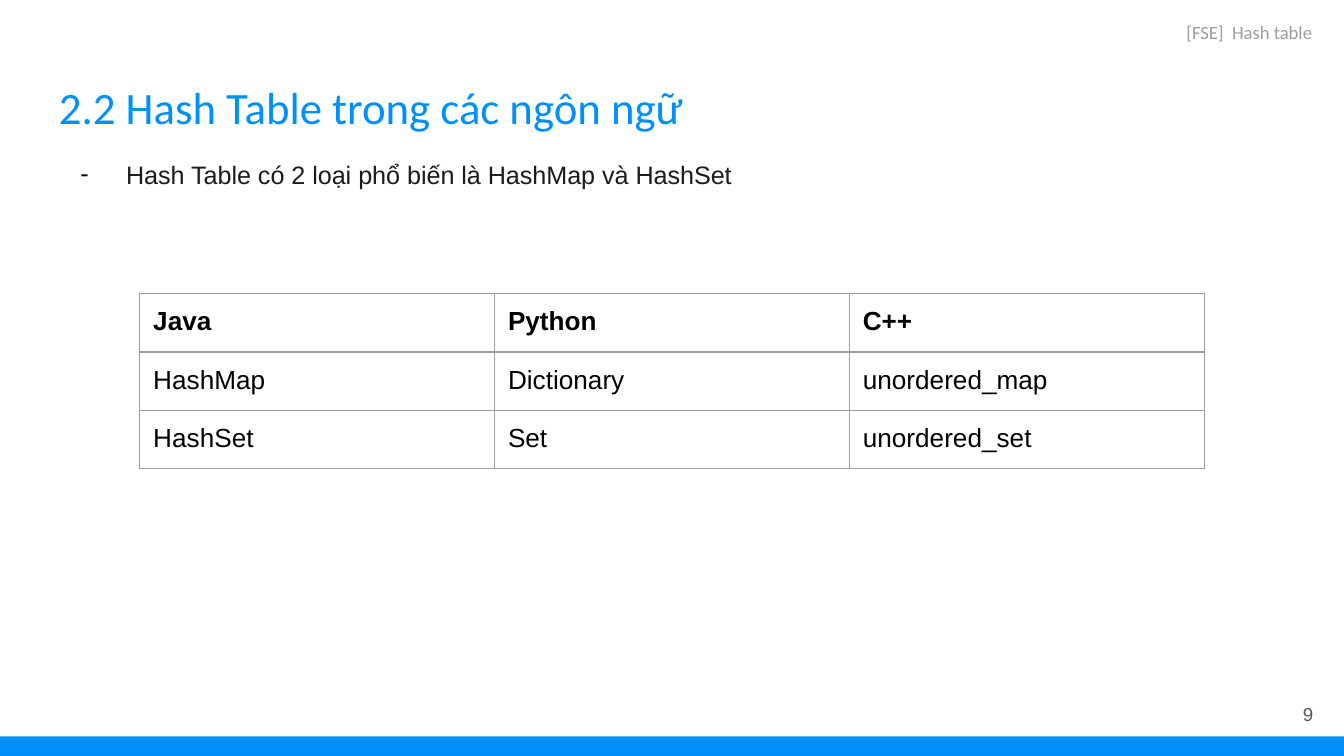
import lxml.etree
import pptx
import pptx.dml.color
import pptx.enum.shapes
import pptx.enum.text
import pptx.oxml
import pptx.oxml.ns
import pptx.util

RGBColor = pptx.dml.color.RGBColor
ALIGN = pptx.enum.text.PP_ALIGN
ANCHOR = pptx.enum.text.MSO_ANCHOR

BLUE = RGBColor(0x00, 0x90, 0xF8)
BLACK = RGBColor(0x00, 0x00, 0x00)
INK = RGBColor(0x1B, 0x1B, 0x1B)
DARK_GRAY = RGBColor(0x59, 0x59, 0x59)
GRAY = RGBColor(0x9E, 0x9E, 0x9E)

EMU_PER_PX = 4572  # 200 px to the inch
WIDTH, HEIGHT = 2000, 1125
INSET = 20


def px(length):
    return pptx.util.Emu(length * EMU_PER_PX)


def add_child(parent, tag, **attributes):
    return lxml.etree.SubElement(parent, pptx.oxml.ns.qn(tag), **attributes)


class SlideBuilder:
    """Holds the style and the current slide."""

    body_font = "Arial"
    heading_font = "Calibri"
    border_color = GRAY
    border_width = pptx.util.Pt(0.75)

    def __init__(self, page):
        self.page = page

    def span(self, para, text, size, color, font=None, bold=False):
        span = para.add_run()
        span.text = text
        span.font.name = font or self.body_font
        span.font.size = pptx.util.Pt(size)
        span.font.bold = bold
        span.font.color.rgb = color

    def set_insets(self, target):
        target.margin_left = target.margin_right = px(INSET)
        target.margin_top = target.margin_bottom = px(INSET)

    def text(self, left, top, width, height, text, size, color, font=None,
             align=ALIGN.LEFT, anchor=ANCHOR.TOP):
        box = self.page.shapes.add_textbox(px(left), px(top), px(width), px(height))
        frame = box.text_frame
        frame.word_wrap = True
        frame.vertical_anchor = anchor
        self.set_insets(frame)
        para = frame.paragraphs[0]
        para.alignment = align
        self.span(para, text, size, color, font)
        return para

    def bullet(self, para, mark, color, indent, hanging):
        para.line_spacing = 1.15
        properties = para._p.get_or_add_pPr()
        properties.set("marL", str(px(indent)))
        properties.set("indent", str(-px(hanging)))
        fill = add_child(properties, "a:buClr")
        add_child(fill, "a:srgbClr", val=str(color))
        add_child(properties, "a:buFont", typeface=self.body_font)
        add_child(properties, "a:buChar", char=mark)

    def bar(self, left, top, width, height, color):
        bar = self.page.shapes.add_shape(
            pptx.enum.shapes.MSO_SHAPE.RECTANGLE,
            px(left), px(top), px(width), px(height))
        bar.shadow.inherit = False
        bar.fill.solid()
        bar.fill.fore_color.rgb = color
        bar.line.fill.background()

    def cell_borders(self, cell):
        properties = cell._tc.get_or_add_tcPr()
        for position, side in enumerate(("lnL", "lnR", "lnT", "lnB")):
            line = pptx.oxml.parse_xml(
                f'<a:{side} {pptx.oxml.ns.nsdecls("a")} w="{self.border_width}">'
                f'<a:solidFill><a:srgbClr val="{self.border_color}"/></a:solidFill>'
                f'</a:{side}>')
            properties.insert(position, line)

    def table(self, left, top, column_width, row_height, rows, size, color):
        columns = len(rows[0])
        table = self.page.shapes.add_table(
            len(rows), columns, px(left), px(top),
            px(column_width * columns), px(row_height * len(rows))).table
        table.horz_banding = False
        for column in table.columns:
            column.width = px(column_width)
        for r, texts in enumerate(rows):
            table.rows[r].height = px(row_height)
            for c, text in enumerate(texts):
                cell = table.cell(r, c)
                cell.fill.background()
                self.set_insets(cell)
                self.cell_borders(cell)
                self.span(cell.text_frame.paragraphs[0], text, size, color,
                          bold=r == 0)


def main():
    deck = pptx.Presentation()
    deck.slide_width, deck.slide_height = px(WIDTH), px(HEIGHT)
    builder = SlideBuilder(deck.slides.add_slide(deck.slide_layouts[6]))

    # Title and introduction
    builder.text(68, 98, 1864, 126, "2.2 Hash Table trong các ngôn ngữ", 24, BLUE,
                 builder.heading_font)
    intro = builder.text(68, 210, 1714, 788,
                         "Hash Table có 2 loại phổ biến là HashMap và HashSet",
                         13.5, INK)
    builder.bullet(intro, "-", BLACK, indent=100, hanging=68)

    # Footer bar and page number
    bar_height = 29
    builder.bar(0, HEIGHT - bar_height, WIDTH, bar_height, BLUE)
    builder.text(1854, 1020, 120, 86, "9", 10, DARK_GRAY,
                 align=ALIGN.RIGHT, anchor=ANCHOR.MIDDLE)

    # Running header
    builder.text(1576, 14, 396, 176, "[FSE]  Hash table", 10, GRAY,
                 builder.heading_font, align=ALIGN.RIGHT)

    # Hash types by language
    builder.table(208, 437, 528, 84, [
        ("Java", "Python", "C++"),
        ("HashMap", "Dictionary", "unordered_map"),
        ("HashSet", "Set", "unordered_set"),
    ], 14, BLACK)

    deck.save("out.pptx")


if __name__ == "__main__":
    main()
